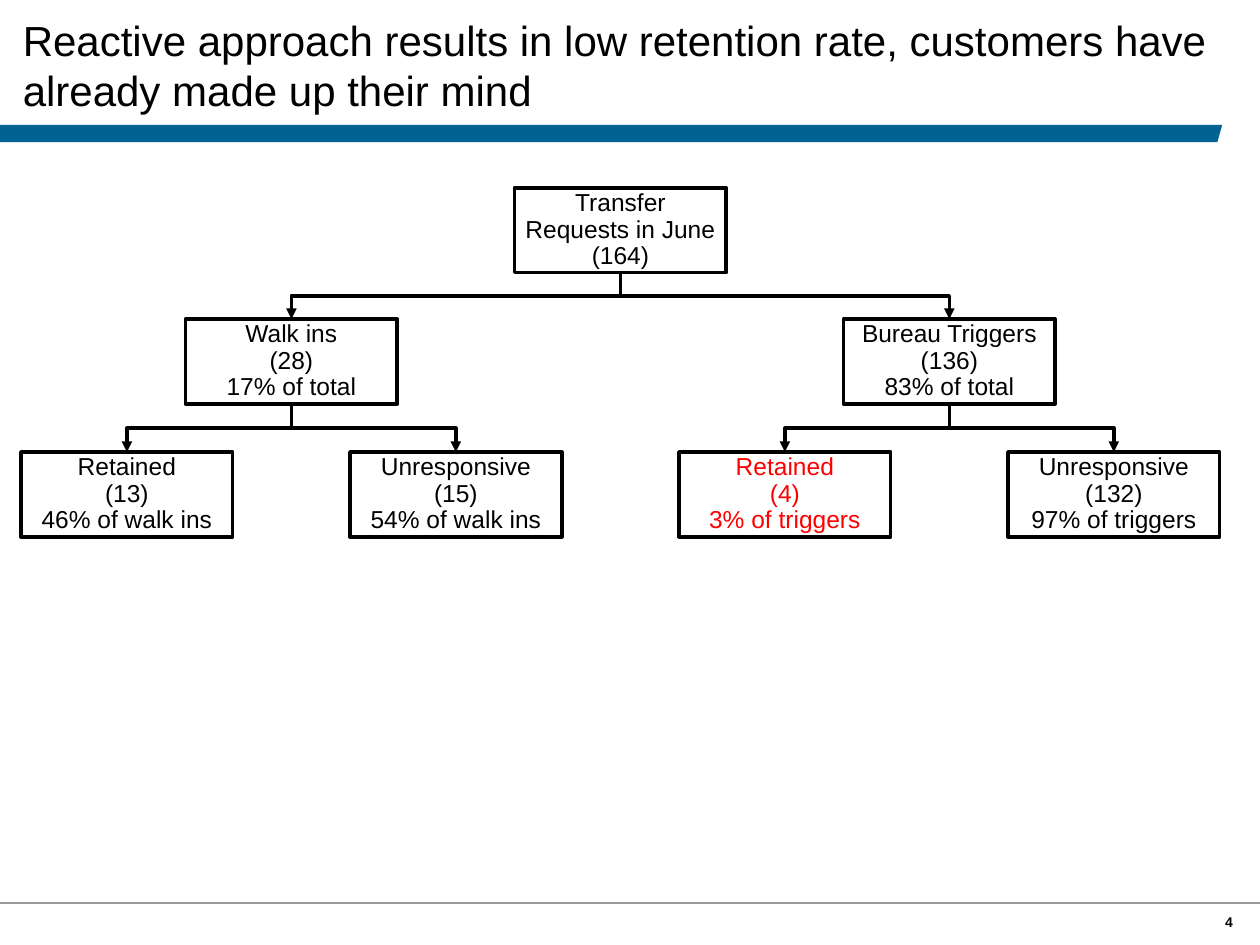
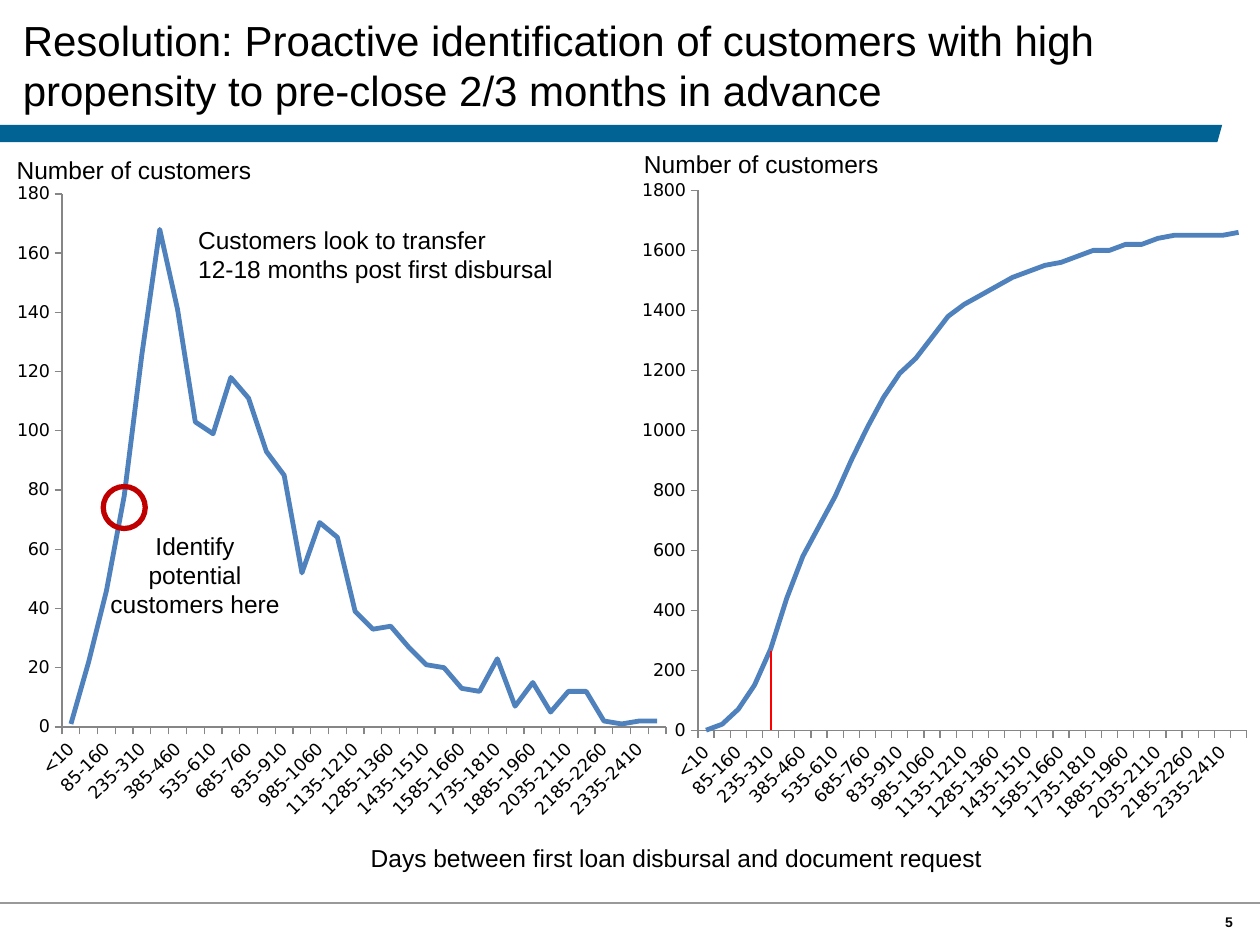
from itertools import accumulate

from lxml import etree
from pptx import Presentation
from pptx.chart.data import CategoryChartData
from pptx.dml.color import RGBColor
from pptx.enum.chart import XL_CHART_TYPE, XL_TICK_MARK
from pptx.enum.shapes import MSO_CONNECTOR, MSO_SHAPE
from pptx.enum.text import MSO_ANCHOR, MSO_AUTO_SIZE, PP_ALIGN
from pptx.oxml.ns import qn
from pptx.util import Pt

LEFT, CENTER = PP_ALIGN.LEFT, PP_ALIGN.CENTER
MIDDLE = MSO_ANCHOR.MIDDLE
STRAIGHT, ELBOW = MSO_CONNECTOR.STRAIGHT, MSO_CONNECTOR.ELBOW
OUTSIDE = XL_TICK_MARK.OUTSIDE
BOTTOM_SITE, TOP_SITE = 2, 0

BLACK = RGBColor(0x00, 0x00, 0x00)
WHITE = RGBColor(0xFF, 0xFF, 0xFF)
BAND_BLUE = RGBColor(0x00, 0x63, 0x93)
FOOTER_GRAY = RGBColor(0x99, 0x99, 0x99)
NUMBER_BLACK = RGBColor(0x08, 0x08, 0x08)
RED = RGBColor(0xFF, 0x00, 0x00)
DARK_RED = RGBColor(0xC0, 0x00, 0x00)
LINE_BLUE = RGBColor(0x4F, 0x81, 0xBD)
AXIS_GRAY = RGBColor(0x86, 0x86, 0x86)
FONT, CHART_FONT = "Arial", "DejaVu Sans"

# Content: request tree
TREE_TITLE = ("Reactive approach results in low retention rate, "
              "customers have already made up their mind")
ROOT = ["Transfer Requests in June", "(164)"]
BRANCHES = [
    (["Walk ins", "(28)", "17% of total"],
     [(["Retained", "(13)", "46% of walk ins"], BLACK),
      (["Unresponsive", "(15)", "54% of walk ins"], BLACK)]),
    (["Bureau Triggers", "(136)", "83% of total"],
     [(["Retained", "(4)", "3% of triggers"], RED),
      (["Unresponsive", "(132)", "97% of triggers"], BLACK)]),
]
BOX_WIDTH, BOX_HEIGHT = 121, 48.5
LEAF_LEFT, LEAF_PITCH = 12, 188
ROOT_TOP, BRANCH_TOP, LEAF_TOP = 107.3, 182.3, 258.3

# Content: customer charts
CHART_TITLE = ("Resolution: Proactive identification of customers with high "
               "propensity to pre-close 2/3 months in advance")
DAY_RANGES = ["<10"] + [f"{day}-{day + 75}" for day in range(10, 2410, 75)] + [">3010"]
CUSTOMERS = [1, 22, 46, 78, 126, 168, 141, 103, 99, 118, 111, 93, 85, 52, 69, 64, 39,
             33, 34, 27, 21, 20, 13, 12, 23, 7, 15, 5, 12, 12, 2, 1, 2, 2]
CUMULATIVE = [round(total, -1) for total in accumulate(CUSTOMERS)]
# values, axis maximum, axis step, frame, plot area as fractions of the frame
CHARTS = [
    (CUSTOMERS, 180, 20, (2.2, 98, 386.6, 378), (0.086, 0.034, 0.893, 0.806)),
    (CUMULATIVE, 1800, 200, (360, 95.8, 360, 382.3), (0.108, 0.034, 0.871, 0.807)),
]
# lines, frame, alignment
LABELS = [
    (["Identify", "potential", "customers here"], (59, 300.2, 105, 57), CENTER),
    (["Number of customers"], (6.5, 85.7, 140.4, 23), LEFT),
    (["Number of customers"], (365, 82.1, 140.4, 23), LEFT),
    (["Days between first loan disbursal and document request"],
     (208.8, 478.8, 363.6, 23), LEFT),
    (["Customers look to transfer", "12-18 months post first disbursal"],
     (110.2, 125.3, 209.5, 39.6), LEFT),
]


def points(*lengths):
    return [Pt(length) for length in lengths]


def set_margins(frame, margin):
    frame.margin_left = frame.margin_right = Pt(margin)
    frame.margin_top = frame.margin_bottom = Pt(margin)


def write_lines(frame, lines, size=14, color=BLACK, align=LEFT, bold=False, spacing=None):
    for index, line in enumerate(lines):
        paragraph = frame.add_paragraph() if index else frame.paragraphs[0]
        paragraph.alignment = align
        paragraph.line_spacing = spacing
        run = paragraph.add_run()
        run.text = line
        run.font.name, run.font.size = FONT, Pt(size)
        run.font.bold, run.font.color.rgb = bold, color


def add_shape(slide, kind, frame, fill=None, line=None, width=1):
    shape = slide.shapes.add_shape(kind, *points(*frame))
    shape.shadow.inherit = False
    if fill is None:
        shape.fill.background()
    else:
        shape.fill.solid()
        shape.fill.fore_color.rgb = fill
    if line is None:
        shape.line.fill.background()
    else:
        shape.line.color.rgb, shape.line.width = line, Pt(width)
    return shape


def add_line(slide, kind, ends, color, width):
    connector = slide.shapes.add_connector(kind, *points(*ends))
    connector.line.color.rgb, connector.line.width = color, Pt(width)
    etree.SubElement(connector._element.spPr, qn("a:effectLst"))
    return connector


def start_slide(presentation, title, number):
    slide = presentation.slides.add_slide(presentation.slide_layouts[5])
    # Title
    holder = slide.shapes.title
    holder.left, holder.top, holder.width, holder.height = points(13, 4.3, 683.3, 65.5)
    frame = holder.text_frame
    frame.word_wrap, frame.auto_size = True, MSO_AUTO_SIZE.NONE
    frame.vertical_anchor = MIDDLE
    set_margins(frame, 0)
    frame.margin_right = Pt(5)
    write_lines(frame, [title], size=24)
    # Band under the title
    builder = slide.shapes.build_freeform(*points(0, 71.4))
    builder.add_line_segments([points(698.4, 71.4), points(695.7, 81.2), points(0, 81.2)])
    band = builder.convert_to_shape()
    band.shadow.inherit = False
    band.fill.solid()
    band.fill.fore_color.rgb = BAND_BLUE
    band.line.fill.background()
    # Footer rule and slide number
    add_line(slide, STRAIGHT, (0, 516, 720, 516), FOOTER_GRAY, 1)
    badge = add_shape(slide, MSO_SHAPE.ROUNDED_RECTANGLE, (690.5, 523.4, 23.8, 6.5))
    set_margins(badge.text_frame, 0)
    badge.text_frame.word_wrap = False
    badge.text_frame.vertical_anchor = MIDDLE
    write_lines(badge.text_frame, [str(number)], 8, NUMBER_BLACK, CENTER, bold=True)
    return slide


def add_box(slide, lines, left, top, color=BLACK):
    box = add_shape(slide, MSO_SHAPE.RECTANGLE, (left, top, BOX_WIDTH, BOX_HEIGHT),
                    WHITE, BLACK, 2)
    frame = box.text_frame
    frame.word_wrap, frame.vertical_anchor = True, MIDDLE
    set_margins(frame, 3.6)
    write_lines(frame, lines, color=color, align=CENTER, spacing=0.9)
    return box


def join_boxes(slide, parent, child):
    """Elbow arrow that leaves the parent downwards and enters the child from above."""
    connector = add_line(slide, ELBOW, (0, 0, 1, 1), BLACK, 2)
    connector.begin_connect(parent, BOTTOM_SITE)
    connector.end_connect(child, TOP_SITE)
    start_x, start_y = parent.left + parent.width // 2, parent.top + parent.height
    end_x, end_y = child.left + child.width // 2, child.top
    drop, span = end_y - start_y, abs(end_x - start_x)
    connector.left = (start_x + end_x - drop) // 2
    connector.top = (start_y + end_y - span) // 2
    connector.width, connector.height = drop, span
    to_right = end_x > start_x
    transform = connector._element.spPr.find(qn("a:xfrm"))
    transform.set("rot", str((270 if to_right else 90) * 60000))
    transform.set("flipH", "1" if to_right else "0")
    outline = connector._element.spPr.find(qn("a:ln"))
    etree.SubElement(outline, qn("a:tailEnd"), type="triangle")


def build_tree(slide):
    branch_boxes = []
    for index, (lines, leaves) in enumerate(BRANCHES):
        first = LEAF_LEFT + 2 * index * LEAF_PITCH
        branch = add_box(slide, lines, first + LEAF_PITCH / 2, BRANCH_TOP)
        branch_boxes.append(branch)
        for place, (leaf_lines, color) in enumerate(leaves):
            leaf = add_box(slide, leaf_lines, first + place * LEAF_PITCH, LEAF_TOP, color)
            join_boxes(slide, branch, leaf)
    root = add_box(slide, ROOT, LEAF_LEFT + 1.5 * LEAF_PITCH, ROOT_TOP)
    for branch in branch_boxes:
        join_boxes(slide, root, branch)


def add_line_chart(slide, values, maximum, step, frame, plot):
    data = CategoryChartData()
    data.categories = DAY_RANGES
    data.add_series("Series 1", values)
    chart = slide.shapes.add_chart(XL_CHART_TYPE.LINE, *points(*frame), data).chart
    chart.has_legend = chart.has_title = False
    chart.font.name, chart.font.size = CHART_FONT, Pt(10)
    chart.font.color.rgb = BLACK
    chart.plots[0].vary_by_categories = False
    series = chart.plots[0].series[0]
    series.smooth = False
    series.format.line.color.rgb, series.format.line.width = LINE_BLUE, Pt(2.75)
    # Axes
    days, counts = chart.category_axis, chart.value_axis
    for axis in (days, counts):
        axis.has_major_gridlines = False
        axis.major_tick_mark = OUTSIDE
        axis.format.line.color.rgb, axis.format.line.width = AXIS_GRAY, Pt(0.75)
        axis.tick_labels.font.size = Pt(10)
    counts.minimum_scale, counts.maximum_scale, counts.major_unit = 0, maximum, step
    # Slanted labels on every second category
    axis_element = days._element
    axis_element.find(qn("c:txPr")).find(qn("a:bodyPr")).set("rot", "-2700000")
    skip = etree.Element(qn("c:tickLblSkip"), val="2")
    axis_element.find(qn("c:noMultiLvlLbl")).addprevious(skip)
    # Fixed inner plot area
    area = chart._chartSpace.find(qn("c:chart")).find(qn("c:plotArea"))
    for old_layout in area.findall(qn("c:layout")):
        area.remove(old_layout)
    layout = etree.Element(qn("c:layout"))
    manual = etree.SubElement(layout, qn("c:manualLayout"))
    settings = [("layoutTarget", "inner"), ("xMode", "edge"), ("yMode", "edge")]
    for name, value in settings + list(zip("xywh", plot)):
        etree.SubElement(manual, qn(f"c:{name}"), val=str(value))
    area.insert(0, layout)


def build_charts(slide):
    for chart in CHARTS:
        add_line_chart(slide, *chart)
    for lines, frame, align in LABELS:
        label = slide.shapes.add_textbox(*points(*frame)).text_frame
        label.word_wrap = align == CENTER
        label.auto_size = MSO_AUTO_SIZE.SHAPE_TO_FIT_TEXT
        set_margins(label, 3)
        write_lines(label, lines, align=align)
    # Marks at the point where customers can be identified
    add_shape(slide, MSO_SHAPE.OVAL, (59, 278, 24, 24), line=DARK_RED, width=3)
    add_line(slide, STRAIGHT, (440.6, 372.2, 440.6, 417), RED, 1.5)


def main():
    presentation = Presentation()
    presentation.slide_width, presentation.slide_height = points(720, 540)
    build_tree(start_slide(presentation, TREE_TITLE, 4))
    build_charts(start_slide(presentation, CHART_TITLE, 5))
    presentation.save("out.pptx")


if __name__ == "__main__":
    main()
